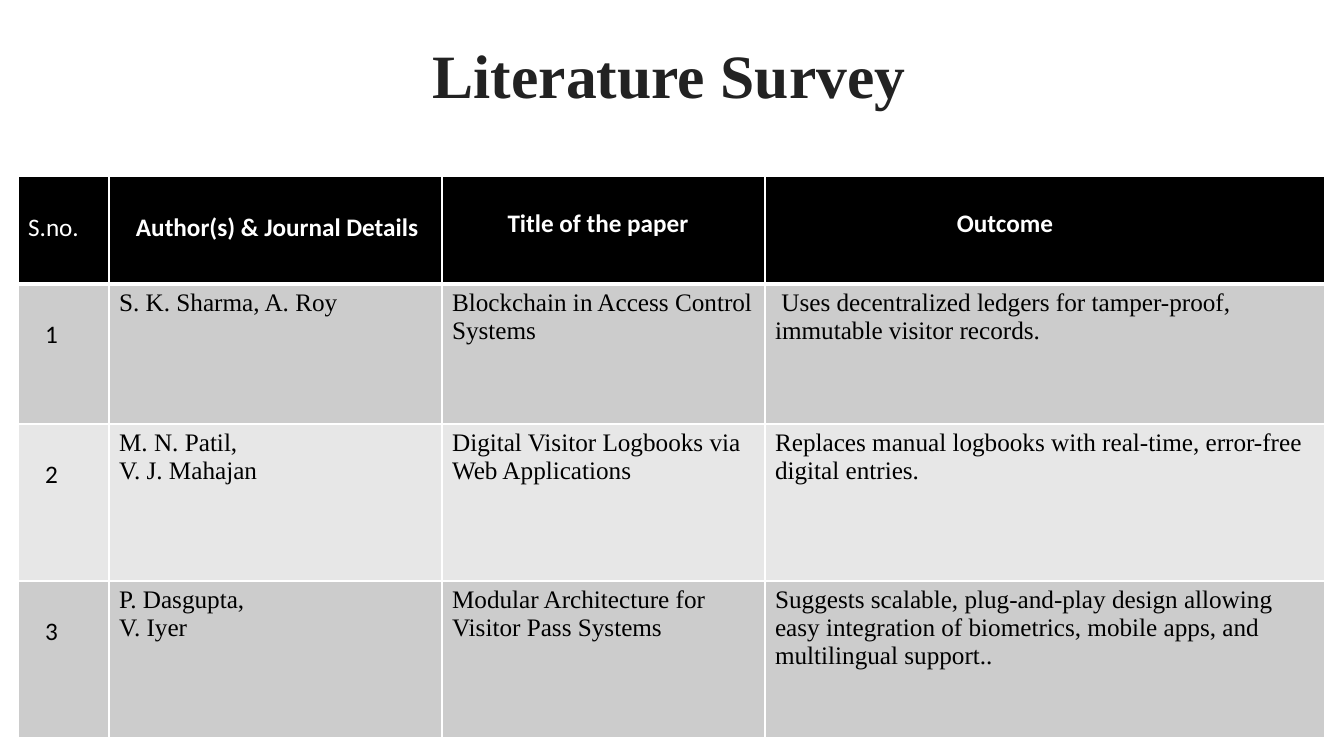
"""Build the literature survey slide with its table of papers."""
from lxml import etree
from pptx import Presentation
from pptx.dml.color import RGBColor
from pptx.enum.text import MSO_ANCHOR, PP_ALIGN
from pptx.oxml.ns import qn
from pptx.util import Pt

PX = 914400 / 100.8
CENTER, JUSTIFY, LEFT = PP_ALIGN.CENTER, PP_ALIGN.JUSTIFY, PP_ALIGN.LEFT
MIDDLE = MSO_ANCHOR.MIDDLE
SERIF, SANS = "Times New Roman", "Calibri"
WHITE, BLACK = "FFFFFF", "000000"
ROW_FILLS = [BLACK, "CCCCCC", "E7E7E7", "CCCCCC"]
COLUMN_WIDTHS = [91, 333, 323, 560]
ROW_HEIGHTS = [108, 140, 157, 157]
INDENT, SECOND_LINE = 27, 36
ROWS = [
    ["S.no.", "Author(s) & Journal Details", "", ""],
    ["1", "S. K. Sharma, A. Roy", "Blockchain in Access Control Systems",
     " Uses decentralized ledgers for tamper-proof, immutable visitor records."],
    ["2", "M. N. Patil,\nV. J. Mahajan", "Digital Visitor Logbooks via Web Applications",
     "Replaces manual logbooks with real-time, error-free digital entries."],
    ["3", "P. Dasgupta,\nV. Iyer", "Modular Architecture for Visitor Pass Systems",
     "Suggests scalable, plug-and-play design allowing easy integration of biometrics, "
     "mobile apps, and multilingual support.."],
]
HEADINGS = [("Title of the paper", 262), ("Outcome", 669)]


def px(*lengths):
    """Turn pixel lengths into EMU."""
    return [round(length * PX) for length in lengths]


def write(frame, text, color, align, **font_format):
    """Fill a text frame with uniformly formatted paragraphs."""
    frame.text = text
    for paragraph in frame.paragraphs:
        paragraph.alignment = align
        for name, value in font_format.items():
            setattr(paragraph.font, name, value)
        paragraph.font.color.rgb = RGBColor.from_string(color)


presentation = Presentation()
presentation.slide_width, presentation.slide_height = px(1344, 756)
slide = presentation.slides.add_slide(presentation.slide_layouts[5])

title = slide.shapes.title
title.left, title.top, title.width, title.height = px(90, 19, 1159, 120)
write(title.text_frame, "Literature Survey", "222222", CENTER,
      name=SERIF, size=Pt(44), bold=True)
title.text_frame.vertical_anchor = MIDDLE
title.text_frame.paragraphs[0].line_spacing = 0.9

table = slide.shapes.add_table(
    len(ROWS), len(COLUMN_WIDTHS),
    *px(18, 176, sum(COLUMN_WIDTHS), sum(ROW_HEIGHTS))).table
for column, width in zip(table.columns, px(*COLUMN_WIDTHS)):
    column.width = width
for row, height in zip(table.rows, px(*ROW_HEIGHTS)):
    row.height = height

for row_index, texts in enumerate(ROWS):
    header = row_index == 0
    for column_index, text in enumerate(texts):
        cell = table.cell(row_index, column_index)
        number = column_index == 0
        write(cell.text_frame, text, WHITE if header else BLACK,
              JUSTIFY if header and number else LEFT,
              name=SANS if header or number else SERIF,
              size=Pt(18), bold=header and not number)
        if header or number:
            cell.margin_top = px(SECOND_LINE)[0]
            if not (header and number):
                cell.margin_left = px(INDENT)[0]
        properties = cell._tc.get_or_add_tcPr()
        for side in "LRTB":
            points = 3 if header and side == "B" else 1
            line = etree.SubElement(properties, qn(f"a:ln{side}"), w=str(Pt(points)))
            fill = etree.SubElement(line, qn("a:solidFill"))
            etree.SubElement(fill, qn("a:srgbClr"), val=WHITE)
        cell.fill.solid()
        cell.fill.fore_color.rgb = RGBColor.from_string(ROW_FILLS[row_index])

for heading, left in HEADINGS:
    box = slide.shapes.add_textbox(*px(left, 202, 672, 40))
    box.text_frame.word_wrap = True
    write(box.text_frame, heading, WHITE, CENTER, name=SANS, size=Pt(18), bold=True)

presentation.save("out.pptx")
